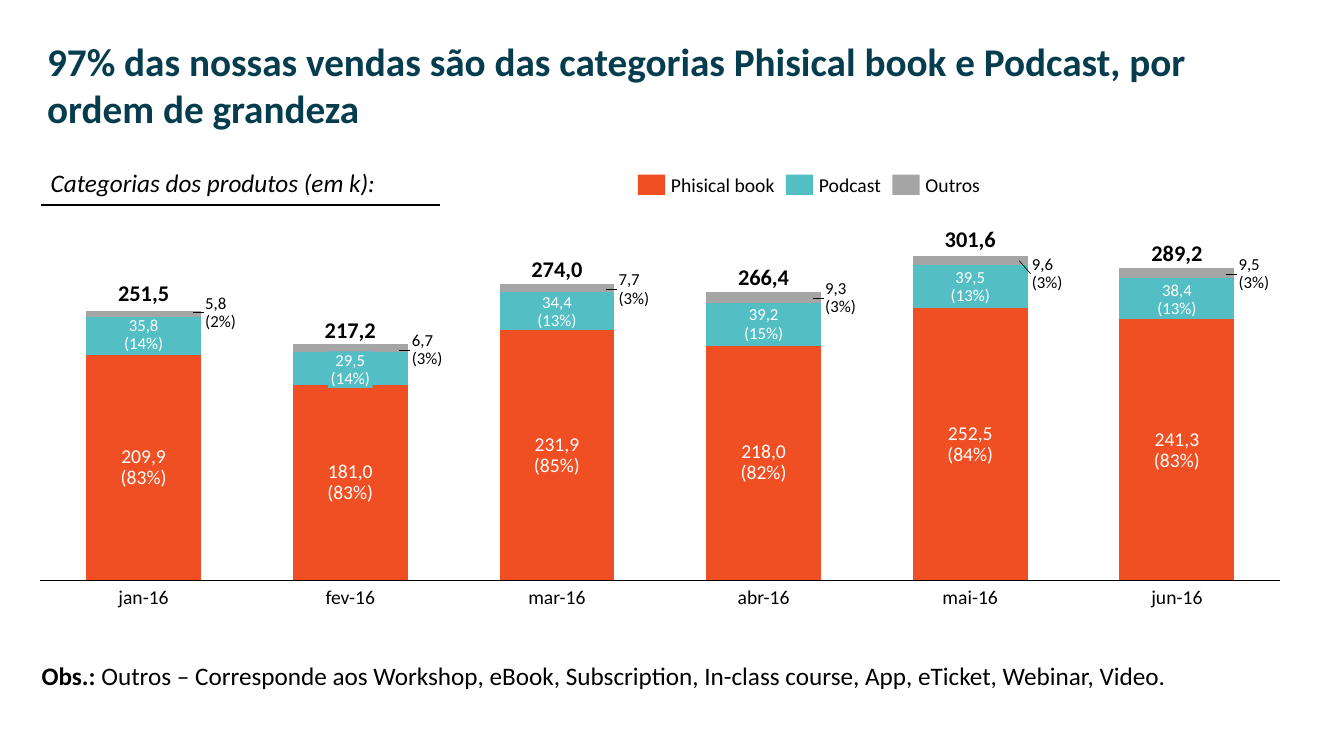
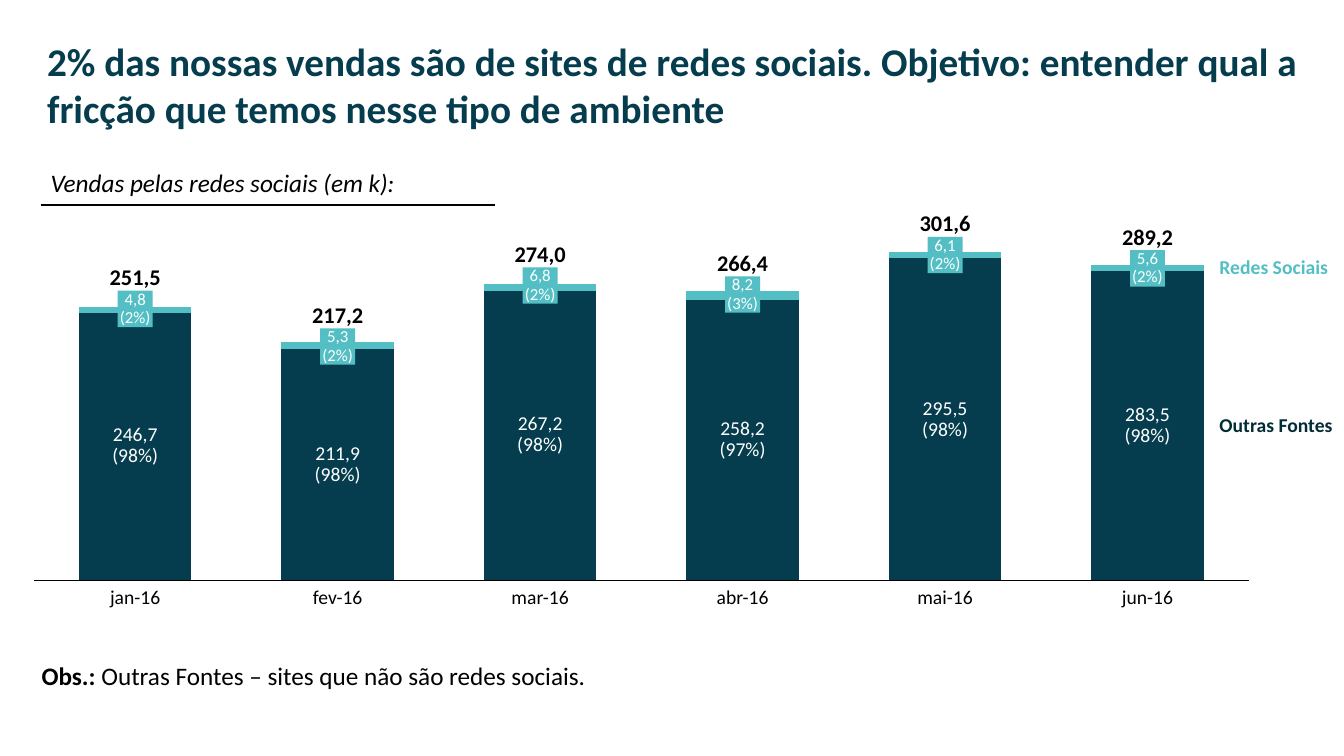
from dataclasses import dataclass

from lxml import etree
from pptx import Presentation
from pptx.chart.data import CategoryChartData
from pptx.dml.color import RGBColor
from pptx.enum.chart import XL_CHART_TYPE, XL_TICK_LABEL_POSITION, XL_TICK_MARK
from pptx.enum.shapes import MSO_CONNECTOR, MSO_SHAPE
from pptx.enum.text import MSO_ANCHOR, PP_ALIGN
from pptx.oxml.ns import qn
from pptx.util import Pt

FONT = "Calibri"
COLORS = {
    "navy": "053D4E",
    "dark": "022D34",
    "teal": "53BFC4",
    "orange": "F04E23",
    "gray": "A5A5A5",
    "black": "000000",
    "white": "FFFFFF",
}
MONTHS = ["jan-16", "fev-16", "mar-16", "abr-16", "mai-16", "jun-16"]
TOTALS = [251.5, 217.2, 274.0, 266.4, 301.6, 289.2]
GAP_WIDTH = 80
PLOT_INSET = 6.4
LINE_SPACING = 0.9
SMALL_LABEL_HEIGHT = 26
CALLOUT_MIN_Y = 195.5
SUBTITLE_LEFT = 29.1


@dataclass
class Box:
    left: float
    top: float
    width: float
    height: float


@dataclass
class TextStyle:
    size: float
    color: str = "black"
    bold: bool = False
    italic: bool = False
    align: PP_ALIGN = PP_ALIGN.LEFT
    anchor: MSO_ANCHOR = MSO_ANCHOR.TOP


@dataclass
class Series:
    name: str
    color: str
    values: list[float]
    label_size: float = 12
    label_width: float = 32
    callout: bool = False
    name_color: str = "black"


@dataclass
class LegendEntry:
    series: Series
    left: float


@dataclass
class SalesSlide:
    title: str
    subtitle: str
    rule_width: float
    note: str
    chart: Box
    series: list[Series]
    legend: list[LegendEntry]


@dataclass
class Plot:
    """Converts months and sales into positions on the slide."""
    chart: Box
    peak: float

    @property
    def bottom(self) -> float:
        return self.chart.top + self.chart.height - PLOT_INSET

    @property
    def pitch(self) -> float:
        return (self.chart.width - 2 * PLOT_INSET) / len(MONTHS)

    @property
    def bar_width(self) -> float:
        return self.pitch / (1 + GAP_WIDTH / 100)

    def center(self, month: int) -> float:
        return self.chart.left + PLOT_INSET + (month + 0.5) * self.pitch

    def y(self, value: float) -> float:
        return self.bottom - value / self.peak * (self.chart.height - 2 * PLOT_INSET)


def rgb(color: str) -> RGBColor:
    return RGBColor.from_string(COLORS[color])


def format_text(shape, style: TextStyle) -> None:
    for paragraph in shape.text_frame.paragraphs:
        paragraph.alignment = style.align
        for run in paragraph.runs:
            run.font.name = FONT
            run.font.size = Pt(style.size)
            run.font.bold = style.bold
            run.font.italic = style.italic
            run.font.color.rgb = rgb(style.color)


def add_text(shapes, box: Box, text: str, style: TextStyle):
    shape = shapes.add_textbox(Pt(box.left), Pt(box.top), Pt(box.width), Pt(box.height))
    shape.text_frame.word_wrap = True
    shape.text_frame.text = text
    shape.text_frame.vertical_anchor = style.anchor
    format_text(shape, style)
    return shape


def add_label(shapes, box: Box, text: str, style: TextStyle, fill: str = "") -> None:
    """Tight text without margins, optionally on a coloured background."""
    shape = add_text(shapes, box, text, style)
    frame = shape.text_frame
    frame.word_wrap = style.align == PP_ALIGN.LEFT
    frame.margin_left = frame.margin_right = frame.margin_top = frame.margin_bottom = 0
    frame.paragraphs[0].line_spacing = LINE_SPACING
    if fill:
        shape.fill.solid()
        shape.fill.fore_color.rgb = rgb(fill)


def add_line(shapes, start: tuple[float, float], end: tuple[float, float], width: float) -> None:
    line = shapes.add_connector(MSO_CONNECTOR.STRAIGHT, *(Pt(value) for value in start + end))
    line.line.width = Pt(width)
    line.line.color.rgb = rgb("black")
    etree.SubElement(line._element.spPr, qn("a:effectLst"))


def add_header_and_note(slide, content: SalesSlide) -> None:
    group = slide.shapes.add_group_shape().shapes
    add_text(group, Box(SUBTITLE_LEFT, 116, content.rule_width + 6, 29), content.subtitle,
             TextStyle(18, italic=True))
    add_line(group, (SUBTITLE_LEFT, 146.3), (SUBTITLE_LEFT + content.rule_width, 146.3), 1.5)
    add_text(slide.shapes, Box(26.6, 23, 907.5, 75), content.title,
             TextStyle(28, "navy", bold=True))
    note = add_text(slide.shapes, Box(22.6, 468, 900, 29), "Obs.: ", TextStyle(18))
    note.text_frame.paragraphs[0].add_run().text = content.note
    format_text(note, TextStyle(18))
    note.text_frame.paragraphs[0].runs[0].font.bold = True


def set_inner_layout(chart, box: Box) -> None:
    plot_area = chart._chartSpace.chart.plotArea
    for old_layout in plot_area.findall(qn("c:layout")):
        plot_area.remove(old_layout)
    layout = etree.Element(qn("c:layout"))
    manual = etree.SubElement(layout, qn("c:manualLayout"))
    settings = {
        "layoutTarget": "inner", "xMode": "edge", "yMode": "edge",
        "x": PLOT_INSET / box.width, "y": PLOT_INSET / box.height,
        "w": 1 - 2 * PLOT_INSET / box.width, "h": 1 - 2 * PLOT_INSET / box.height,
    }
    for name, value in settings.items():
        etree.SubElement(manual, qn(f"c:{name}")).set("val", str(value))
    plot_area.insert(0, layout)


def add_sales_chart(slide, content: SalesSlide, peak: float) -> None:
    # Sales are indexed: the largest value of the main series is 100
    base = max(content.series[0].values)
    data = CategoryChartData(number_format="0")
    data.categories = MONTHS
    for series in content.series:
        data.add_series(series.name, [round(100 * value / base) for value in series.values])
    box = content.chart
    chart = slide.shapes.add_chart(XL_CHART_TYPE.COLUMN_STACKED, Pt(box.left), Pt(box.top),
                                   Pt(box.width), Pt(box.height), data).chart
    chart.has_legend = False
    chart.has_title = False
    chart.font.name = FONT
    chart.font.size = Pt(10)
    chart.font.color.rgb = rgb("black")
    plot = chart.plots[0]
    plot.gap_width = GAP_WIDTH
    plot.overlap = 100
    plot.vary_by_categories = False
    for drawn, series in zip(plot.series, content.series):
        drawn.format.fill.solid()
        drawn.format.fill.fore_color.rgb = rgb(series.color)
    category_axis = chart.category_axis
    category_axis.tick_label_position = XL_TICK_LABEL_POSITION.NONE
    category_axis.major_tick_mark = XL_TICK_MARK.NONE
    category_axis.format.line.width = Pt(0.75)
    category_axis.format.line.color.rgb = rgb("black")
    value_axis = chart.value_axis
    value_axis.visible = False
    value_axis.has_major_gridlines = False
    value_axis.minimum_scale = 0
    value_axis.maximum_scale = round(100 * peak / base, 1)
    set_inner_layout(chart, box)


def decimal_comma(value: float) -> str:
    return f"{value:.1f}".replace(".", ",")


def add_month_labels(slide, content: SalesSlide, plot: Plot, month: int) -> None:
    shapes = slide.shapes
    center = plot.center(month)
    right = center + plot.bar_width / 2
    stacked = 0.0
    total_bottom = plot.y(sum(series.values[month] for series in content.series)) - 2

    # Value and share of each segment
    for series in content.series:
        value = series.values[month]
        middle = plot.y(stacked + value / 2)
        segment_height = plot.y(stacked) - plot.y(stacked + value)
        stacked += value
        text = f"{decimal_comma(value)}\v({100 * value / TOTALS[month]:.0f}%)"
        height = SMALL_LABEL_HEIGHT * series.label_size / 12
        if series.callout:
            label_y = max(middle, CALLOUT_MIN_Y)
            add_line(shapes, (right + 2, label_y), (right - 6, middle), 0.5)
            add_label(shapes, Box(right + 3, label_y - height / 2, series.label_width, height),
                      text, TextStyle(series.label_size, anchor=MSO_ANCHOR.MIDDLE))
            continue
        fill = series.color if segment_height < height else ""
        add_label(shapes,
                  Box(center - series.label_width / 2, middle - height / 2,
                      series.label_width, height),
                  text, TextStyle(series.label_size, "white", align=PP_ALIGN.CENTER,
                                  anchor=MSO_ANCHOR.MIDDLE), fill)
        total_bottom = min(total_bottom, middle - height / 2)

    # Total above and month below the bar
    add_label(shapes, Box(center - 20.5, total_bottom - 17.5, 41, 17.5),
              decimal_comma(TOTALS[month]),
              TextStyle(16, bold=True, align=PP_ALIGN.CENTER, anchor=MSO_ANCHOR.BOTTOM))
    add_label(shapes, Box(center - 21, plot.bottom + 4.8, 42, 15), MONTHS[month],
              TextStyle(14, align=PP_ALIGN.CENTER))


def add_legend(slide, content: SalesSlide) -> None:
    for entry in content.legend:
        swatch = slide.shapes.add_shape(MSO_SHAPE.RECTANGLE, Pt(entry.left), Pt(124.7),
                                        Pt(19.5), Pt(14.5))
        swatch.shadow.inherit = False
        swatch.fill.solid()
        swatch.fill.fore_color.rgb = rgb(entry.series.color)
        swatch.line.fill.background()
        add_label(slide.shapes, Box(entry.left + 23.7, 125.2, 80, 15), entry.series.name,
                  TextStyle(14, anchor=MSO_ANCHOR.MIDDLE))


def add_series_names(slide, content: SalesSlide, plot: Plot) -> None:
    """Names each series beside its segment of the last bar."""
    left = plot.center(len(MONTHS) - 1) + plot.bar_width / 2 + 11.2
    stacked = 0.0
    for series in content.series:
        middle = plot.y(stacked + series.values[-1] / 2)
        stacked += series.values[-1]
        add_label(slide.shapes, Box(left, middle - 7.5, 88, 15), series.name,
                  TextStyle(14, series.name_color, bold=True, anchor=MSO_ANCHOR.MIDDLE))


def build_slide(presentation, content: SalesSlide) -> None:
    slide = presentation.slides.add_slide(presentation.slide_layouts[6])
    peak = max(sum(values) for values in zip(*(series.values for series in content.series)))
    plot = Plot(content.chart, peak)
    add_header_and_note(slide, content)
    add_sales_chart(slide, content, peak)
    for month in range(len(MONTHS)):
        add_month_labels(slide, content, plot, month)
    if content.legend:
        add_legend(slide, content)
    else:
        add_series_names(slide, content, plot)


BOOKS = Series("Phisical book", "orange", [209.9, 181.0, 231.9, 218.0, 252.5, 241.3], 14, 37)
PODCASTS = Series("Podcast", "teal", [35.8, 29.5, 34.4, 39.2, 39.5, 38.4])
OTHERS = Series("Outros", "gray", [5.8, 6.7, 7.7, 9.3, 9.6, 9.5], callout=True)
OTHER_SOURCES = Series("Outras Fontes", "navy", [246.7, 211.9, 267.2, 258.2, 295.5, 283.5],
                       14, 37, name_color="dark")
SOCIAL = Series("Redes Sociais", "teal", [4.8, 5.3, 6.8, 8.2, 6.1, 5.6], 12, 25,
                name_color="teal")

SLIDES = [
    SalesSlide(
        "97% das nossas vendas são das categorias Phisical book e Podcast, por ordem de grandeza",
        "Categorias dos produtos (em k):", 285.5,
        "Outros – Corresponde aos Workshop, eBook, Subscription, In-class course, App, eTicket, "
        "Webinar, Video.",
        Box(22.4, 176.2, 898.5, 244.8), [BOOKS, PODCASTS, OTHERS],
        [LegendEntry(BOOKS, 455.6), LegendEntry(PODCASTS, 561.3), LegendEntry(OTHERS, 637.4)]),
    SalesSlide(
        "2% das nossas vendas são de sites de redes sociais. Objetivo: entender qual a fricção "
        "que temos nesse tipo de ambiente",
        "Vendas pelas redes sociais (em k):", 324.7,
        "Outras Fontes – sites que não são redes sociais.",
        Box(17.9, 173.4, 880.5, 247.6), [OTHER_SOURCES, SOCIAL], []),
]


def main() -> None:
    presentation = Presentation()
    presentation.slide_width, presentation.slide_height = Pt(960), Pt(540)
    for content in SLIDES:
        build_slide(presentation, content)
    presentation.save("out.pptx")


if __name__ == "__main__":
    main()
